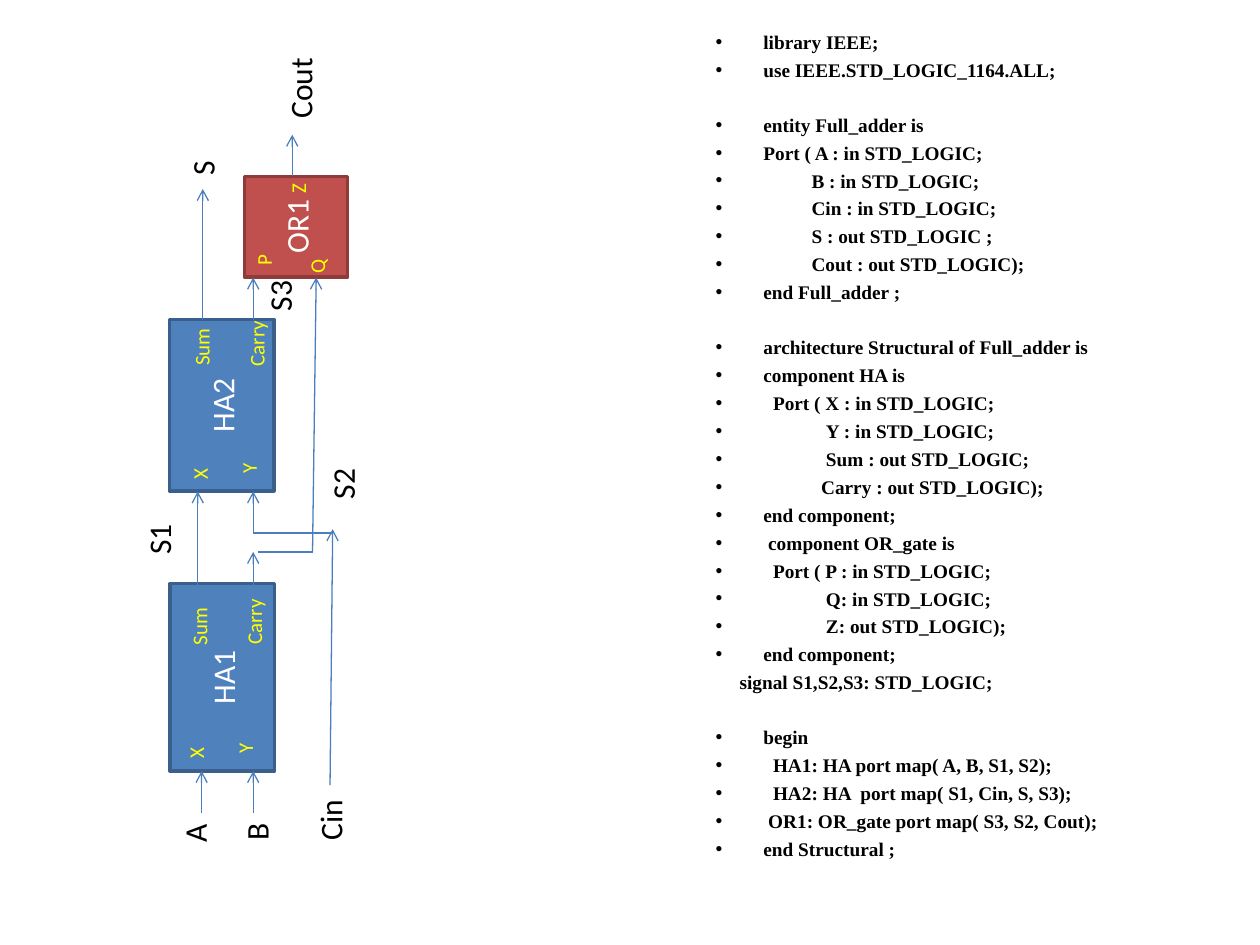
from lxml.etree import SubElement
from pptx import Presentation
from pptx.dml.color import RGBColor
from pptx.enum.shapes import MSO_CONNECTOR as Connector, MSO_SHAPE as Shape
from pptx.enum.text import MSO_ANCHOR as Anchor, PP_ALIGN as Align
from pptx.oxml.ns import qn
from pptx.util import Pt

CODE = [
    (0, "library IEEE;"),
    (0, "use IEEE.STD_LOGIC_1164.ALL;"),
    None,
    (0, "entity Full_adder is"),
    (0, "Port ( A : in STD_LOGIC;"),
    (10, "B : in STD_LOGIC;"),
    (10, "Cin : in STD_LOGIC;"),
    (10, "S : out STD_LOGIC ;"),
    (10, "Cout : out STD_LOGIC);"),
    (0, "end Full_adder ;"),
    None,
    (0, "architecture Structural of Full_adder is"),
    (0, "component HA is"),
    (2, "Port ( X : in STD_LOGIC;"),
    (13, "Y : in STD_LOGIC;"),
    (13, "Sum : out STD_LOGIC;"),
    (12, "Carry : out STD_LOGIC);"),
    (0, "end component;"),
    (1, "component OR_gate is"),
    (2, "Port ( P : in STD_LOGIC;"),
    (13, "Q: in STD_LOGIC;"),
    (13, "Z: out STD_LOGIC);"),
    (0, "end component;"),
    (-5, "signal S1,S2,S3: STD_LOGIC;"),
    None,
    (0, "begin"),
    (2, "HA1: HA port map( A, B, S1, S2);"),
    (2, "HA2: HA  port map( S1, Cin, S, S3);"),
    (1, "OR1: OR_gate port map( S3, S2, Cout);"),
    (0, "end Structural ;"),
]

BLOCKS = [
    ("HA2", 126.7, 231.5, 97.9, 59.8, "4F81BD", "3A5F8C"),
    ("HA1", 127.1, 387, 107.3, 59.8, "4F81BD", "3A5F8C"),
    ("OR1", 169.2, 129.6, 57.6, 59, "C0504D", "8E3B39"),
]

ARROWS = [
    (144.7, 304.6, 144.7, 280.8),
    (115.9, 182.9, 115.9, 108),
    (144.7, 182.9, 144.7, 158.6),
    (115.2, 464.4, 115.2, 440.6),
    (144.7, 464.4, 144.7, 440.6),
    (113, 335.5, 113, 280.8),
    (188.6, 448.6, 190.1, 302.4),
    (178.6, 315.4, 180.7, 158.6),
    (167, 100.8, 167, 77),
    (144.7, 335.5, 144.7, 315.4),
]

WIRES = [(190.1, 304.6, 144.7, 304.6), (178.6, 315.4, 147.6, 315.4)]

SIGNALS = [
    ("S", 115.6, 107.6, 18),
    ("Cout", 171.4, 74.9, 52),
    ("A", 111.2, 488.5, 18),
    ("B", 146.5, 487.1, 18),
    ("Cin", 188.6, 487.4, 42),
    ("S1", 90.7, 324, 43),
    ("S2", 195.8, 292.3, 43),
    ("S3", 159.8, 185, 43),
]

PORTS = [
    ("X", 112, 440.3, 18),
    ("Y", 140, 437.4, 18),
    ("Sum", 113.8, 375.8, 39),
    ("Carry", 145.1, 375.5, 42),
    ("X", 114.1, 281.2, 18),
    ("Y", 142.2, 277.6, 18),
    ("Sum", 115.2, 216, 39),
    ("Carry", 146.5, 216.4, 42),
    ("P", 150.8, 158.8, 18),
    ("Q", 181.1, 163.1, 18),
    ("Z", 170.3, 117.7, 18),
]


def color(value):
    return RGBColor.from_string(value)


def write(paragraph, text, size=18, font="Calibri", fill="000000", bold=False,
          align=Align.LEFT, before=0):
    paragraph.alignment = align
    paragraph.space_before = Pt(before)
    run = paragraph.add_run()
    run.text = text
    run.font.size = Pt(size)
    run.font.name = font
    run.font.bold = bold
    run.font.color.rgb = color(fill)


class AdderSlide:
    wire_color = "4B7EBC"
    code_size = 11
    code_indent = 27.36
    space_width = 2.75
    code_gap = 2.75
    code_pitch = 15.41

    def __init__(self, presentation):
        self.slide = presentation.slides.add_slide(presentation.slide_layouts[6])
        self.diagram = self.slide.shapes.add_group_shape().shapes

    def block(self, text, center_x, center_y, width, height, fill, border):
        shape = self.diagram.add_shape(
            Shape.RECTANGLE, Pt(center_x - width / 2), Pt(center_y - height / 2),
            Pt(width), Pt(height))
        shape.rotation = 270
        shape.shadow.inherit = False
        shape.fill.solid()
        shape.fill.fore_color.rgb = color(fill)
        shape.line.color.rgb = color(border)
        shape.line.width = Pt(2)
        shape.text_frame.vertical_anchor = Anchor.MIDDLE
        write(shape.text_frame.paragraphs[0], text, fill="FFFFFF", align=Align.CENTER)

    def wire(self, start_x, start_y, end_x, end_y, arrow=False):
        connector = self.diagram.add_connector(
            Connector.STRAIGHT, Pt(start_x), Pt(start_y), Pt(end_x), Pt(end_y))
        connector.line.color.rgb = color(self.wire_color)
        connector.line.width = Pt(0.75)
        if arrow:
            SubElement(connector.line._get_or_add_ln(), qn("a:tailEnd"), type="arrow")
        SubElement(connector._element.spPr, qn("a:effectLst"))

    def label(self, text, center_x, bottom, width, size=18, fill="000000"):
        height = 29 if size == 18 else 21.8
        box = self.diagram.add_textbox(
            Pt(center_x - width / 2), Pt(bottom - width / 2 - height / 2),
            Pt(width), Pt(height))
        box.rotation = 270
        box.text_frame.word_wrap = True
        write(box.text_frame.paragraphs[0], text, size=size, fill=fill)

    def code(self, lines, left, top, width, height):
        frame = self.slide.shapes.add_textbox(
            Pt(left), Pt(top), Pt(width), Pt(height)).text_frame
        frame.word_wrap = True
        paragraph = frame.paragraphs[0]
        before = self.code_gap
        for line in lines:
            if line is None:
                before += self.code_pitch
                continue
            spaces, text = line
            if paragraph.runs:
                paragraph = frame.add_paragraph()
            write(paragraph, text, size=self.code_size, font="Times New Roman",
                  bold=True, before=before)
            self.indent(paragraph, spaces)
            before = self.code_gap

    def indent(self, paragraph, spaces):
        properties = paragraph._p.get_or_add_pPr()
        if spaces < 0:
            properties.set("marL", str(Pt(-spaces * self.space_width)))
            return
        margin = Pt(self.code_indent + spaces * self.space_width)
        properties.set("marL", str(margin))
        properties.set("indent", str(-margin))
        SubElement(properties, qn("a:buFont"), typeface="Arial")
        SubElement(properties, qn("a:buChar"), char="•")


def main():
    presentation = Presentation()
    presentation.slide_width = Pt(720)
    presentation.slide_height = Pt(540)
    adder = AdderSlide(presentation)
    for block in BLOCKS:
        adder.block(*block)
    for arrow in ARROWS:
        adder.wire(*arrow, arrow=True)
    for wire in WIRES:
        adder.wire(*wire)
    for signal in SIGNALS:
        adder.label(*signal)
    for port in PORTS:
        adder.label(*port, size=12, fill="FFFF00")
    adder.code(CODE, 401.8, 13.7, 300.2, 484.6)
    presentation.save("out.pptx")


if __name__ == "__main__":
    main()
